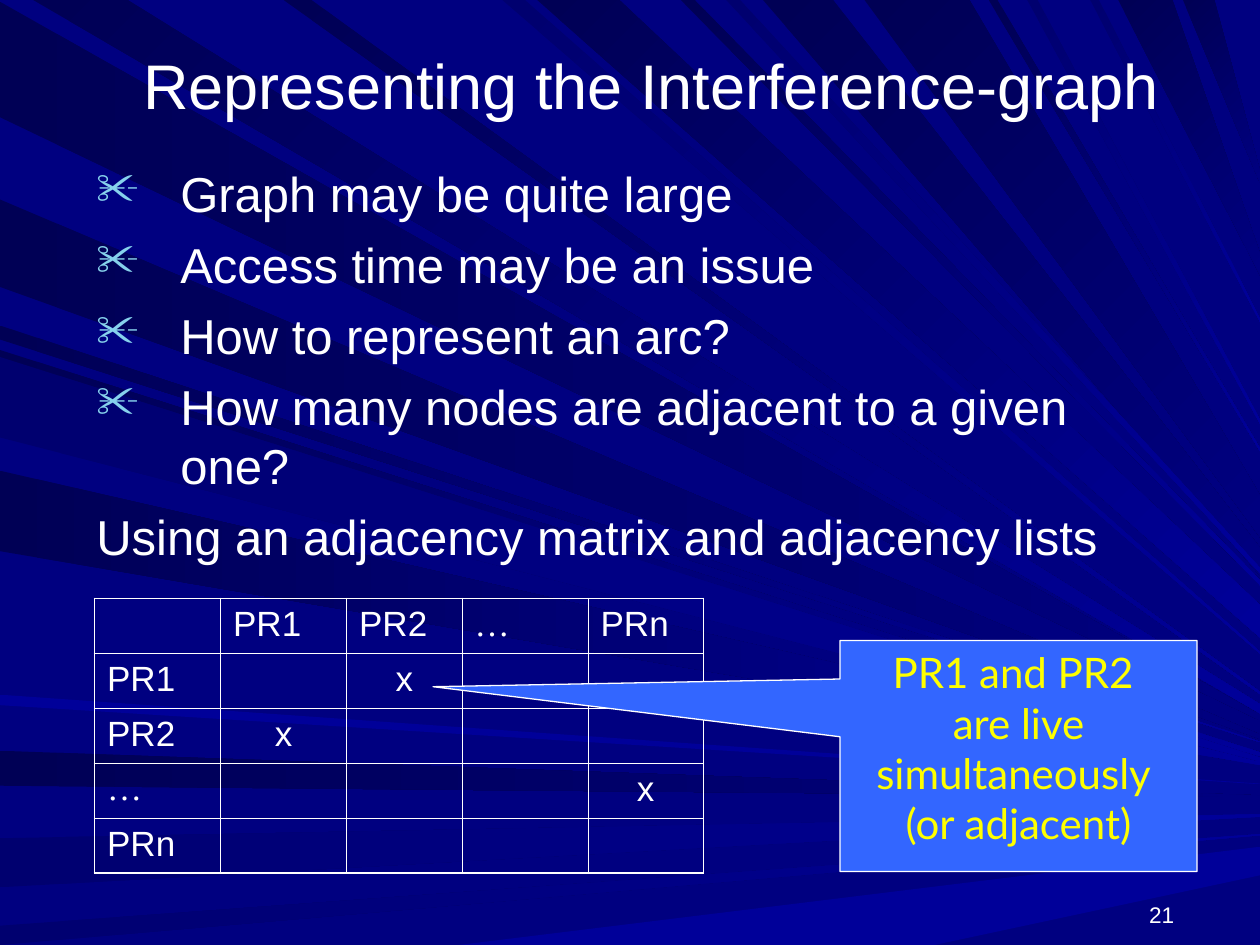
from dataclasses import dataclass

from lxml.etree import SubElement
from pptx import Presentation
from pptx.dml.color import RGBColor
from pptx.enum.shapes import MSO_SHAPE
from pptx.enum.text import MSO_ANCHOR, PP_ALIGN
from pptx.oxml.ns import qn
from pptx.util import Pt


@dataclass(frozen=True)
class Theme:
    background: str = "000080"
    text: str = "FFFFFF"
    bullet: str = "86D1EC"
    callout: str = "3366FF"
    callout_text: str = "FFFF00"
    deep: tuple = ("000055", "000080")
    bright: tuple = ("000055", "000099")
    soft: tuple = ("00006F", "000099")
    glow: tuple = ("000099", "000099")
    font: str = "Arial"
    callout_font: str = "Lato"
    ellipsis_font: str = "Times New Roman"
    title_size: float = 36
    body_size: float = 28
    callout_size: float = 24
    table_size: float = 20
    number_size: float = 12.9
    outer_border: float = 1.08
    inner_border: float = 0.45


THEME = Theme()
WIDTH, HEIGHT = 720, 540

# Each ray: start and stop on its edge, height where it meets the right edge, tone
LEFT_RAYS = [
    (1, 67, 410, THEME.deep), (429, 449, 455, THEME.deep), (479, 507, 466, THEME.soft),
    (529, 543, 477, THEME.soft), (186, 194, 424, THEME.bright), (114, 164, 421, THEME.deep),
    (200, 246, 431, THEME.bright), (269, 315, 436, THEME.bright),
    (397, 403, 448, THEME.glow), (204, 250, 434, THEME.soft),
]
LONG_TOP_RAYS = [(19, 73, 405, THEME.bright), (287, 300, 373, THEME.soft),
                 (162, 178, 396, THEME.bright)]
STEEP_TOP_RAYS = [
    (307, 354, 355, THEME.bright), (389, 397, 333, THEME.bright), (436, 476, 321, THEME.deep),
    (639, 670, 151, THEME.deep), (676, 694, 101, THEME.deep), (415, 423, 326, THEME.soft),
    (494, 554, 295, THEME.deep), (565, 570, 257, THEME.bright), (587, 593, 241, THEME.soft),
    (623, 628, 183, THEME.soft),
]
BOTTOM_RAYS = [(262, 534, 492, THEME.glow)]

BULLETS = ["Graph may be quite large", "Access time may be an issue",
           "How to represent an arc?", "How many nodes are adjacent to a given one?"]
CONCLUSION = "Using an adjacency matrix and adjacency lists"
REGISTERS = ["PR1", "PR2", "…", "PRn"]
INTERFERENCES = {("PR1", "PR2"), ("PR2", "PR1"), ("…", "PRn")}
COLUMN_WIDTHS = [72, 72, 66, 72, 66]
ROW_HEIGHT = 31.4


def rgb(value):
    return RGBColor.from_string(value)


def format_runs(p, size, font=THEME.font, color=THEME.text, align=PP_ALIGN.LEFT):
    p.alignment = align
    for r in p.runs:
        r.font.size = Pt(size)
        r.font.name = font
        r.font.color.rgb = rgb(color)


def add_fan(slide, rays, place, taper, angle):
    """Draw rays that narrow by taper from an edge towards the right edge.

    place turns a distance along the starting edge into a point."""
    for start, stop, end, tone in rays:
        half = (stop - start) * taper / 2
        corners = [place(start), place(stop), (WIDTH, end + half), (WIDTH, end - half)]
        if place(start)[1] == 0:
            corners[2:] = reversed(corners[2:])
        points = [(Pt(x), Pt(y)) for x, y in corners]
        builder = slide.shapes.build_freeform(*points[0])
        builder.add_line_segments(points[1:], close=True)
        sp = builder.convert_to_shape()
        sp.shadow.inherit = False
        sp.line.fill.background()
        sp.fill.gradient()
        sp.fill.gradient_angle = -angle % 360
        for stop_color, color in zip(sp.fill.gradient_stops, tone):
            stop_color.color.rgb = rgb(color)


def add_rays(slide):
    def from_left(y):
        return 0, min(y, HEIGHT)

    def from_top(x):
        return x, 0

    def from_bottom(x):
        return x, HEIGHT

    add_fan(slide, LEFT_RAYS, from_left, 0.05, 0)
    add_fan(slide, BOTTOM_RAYS, from_bottom, 0.06, 0)
    add_fan(slide, LONG_TOP_RAYS, from_top, 0.1, 45)
    add_fan(slide, STEEP_TOP_RAYS, from_top, 0.4, 45)


def add_text(slide, box, text, size, align, anchor):
    tf = slide.shapes.add_textbox(*map(Pt, box)).text_frame
    tf.word_wrap = True
    tf.vertical_anchor = anchor
    tf.text = text
    for p in tf.paragraphs:
        format_runs(p, size, align=align)
    return tf


def set_bullet(p, char):
    """Give the paragraph a hanging indent, with a bullet if char is set."""
    pPr = p._p.get_or_add_pPr()
    pPr.set("marL", str(Pt(48)))
    pPr.set("indent", str(-Pt(48)))
    if not char:
        SubElement(pPr, qn("a:buNone"))
        return
    color = SubElement(pPr, qn("a:buClr"))
    SubElement(color, qn("a:srgbClr"), val=THEME.bullet)
    SubElement(pPr, qn("a:buSzPct"), val="90000")
    SubElement(pPr, qn("a:buChar"), char=char)


def add_body(slide):
    tf = add_text(slide, (48, 90, 612, 432), "\n".join(BULLETS + [CONCLUSION]),
                  THEME.body_size, PP_ALIGN.LEFT, MSO_ANCHOR.TOP)
    for i, p in enumerate(tf.paragraphs):
        if i:
            p.space_before = Pt(7)
        set_bullet(p, "✂" if i < len(BULLETS) else None)


def set_borders(cell, outer_sides):
    tcPr = cell._tc.get_or_add_tcPr()
    for side in "LRTB":
        width = THEME.outer_border if side in outer_sides else THEME.inner_border
        ln = SubElement(tcPr, qn(f"a:ln{side}"), w=str(Pt(width)))
        fill = SubElement(ln, qn("a:solidFill"))
        SubElement(fill, qn("a:srgbClr"), val=THEME.text)


def add_matrix(slide):
    labels = [""] + REGISTERS
    n = len(labels)
    table = slide.shapes.add_table(n, n, Pt(54), Pt(342), Pt(sum(COLUMN_WIDTHS)),
                                   Pt(ROW_HEIGHT * n)).table
    table.first_row = table.horz_banding = False
    for i, width in enumerate(COLUMN_WIDTHS):
        table.columns[i].width = Pt(width)
        table.rows[i].height = Pt(ROW_HEIGHT)
    for row, row_label in enumerate(labels):
        for col, col_label in enumerate(labels):
            cell = table.cell(row, col)
            edges = {"L": col == 0, "R": col == n - 1, "T": row == 0, "B": row == n - 1}
            set_borders(cell, [side for side, outer in edges.items() if outer])
            cell.fill.background()
            heading = row == 0 or col == 0
            if heading:
                cell.text = row_label or col_label
            elif (row_label, col_label) in INTERFERENCES:
                cell.text = "x"
            font = THEME.ellipsis_font if cell.text == "…" else THEME.font
            format_runs(cell.text_frame.paragraphs[0], THEME.table_size, font,
                        align=PP_ALIGN.LEFT if heading else PP_ALIGN.CENTER)


def add_callout(slide, text):
    sp = slide.shapes.add_shape(MSO_SHAPE.RECTANGULAR_CALLOUT, Pt(480), Pt(366), Pt(204), Pt(132))
    sp.adjustments[0], sp.adjustments[1] = -1.64, -0.3
    sp.shadow.inherit = False
    sp.fill.solid()
    sp.fill.fore_color.rgb = rgb(THEME.callout)
    sp.line.color.rgb = rgb(THEME.text)
    sp.line.width = Pt(0.75)
    tf = sp.text_frame
    tf.word_wrap = True
    tf.vertical_anchor = MSO_ANCHOR.TOP
    tf.text = text
    for p in tf.paragraphs:
        format_runs(p, THEME.callout_size, THEME.callout_font, THEME.callout_text, PP_ALIGN.CENTER)


def main():
    prs = Presentation()
    prs.slide_width, prs.slide_height = Pt(WIDTH), Pt(HEIGHT)
    slide = prs.slides.add_slide(prs.slide_layouts[6])
    slide.background.fill.solid()
    slide.background.fill.fore_color.rgb = rgb(THEME.background)
    add_rays(slide)
    add_text(slide, (630, 510, 48, 24), "21", THEME.number_size, PP_ALIGN.RIGHT, MSO_ANCHOR.BOTTOM)
    add_text(slide, (54, 18, 636, 60), "Representing the Interference-graph",
             THEME.title_size, PP_ALIGN.CENTER, MSO_ANCHOR.MIDDLE)
    add_body(slide)
    add_matrix(slide)
    add_callout(slide, "PR1 and PR2 \nare live simultaneously \n(or adjacent)")
    prs.save("out.pptx")


if __name__ == "__main__":
    main()
